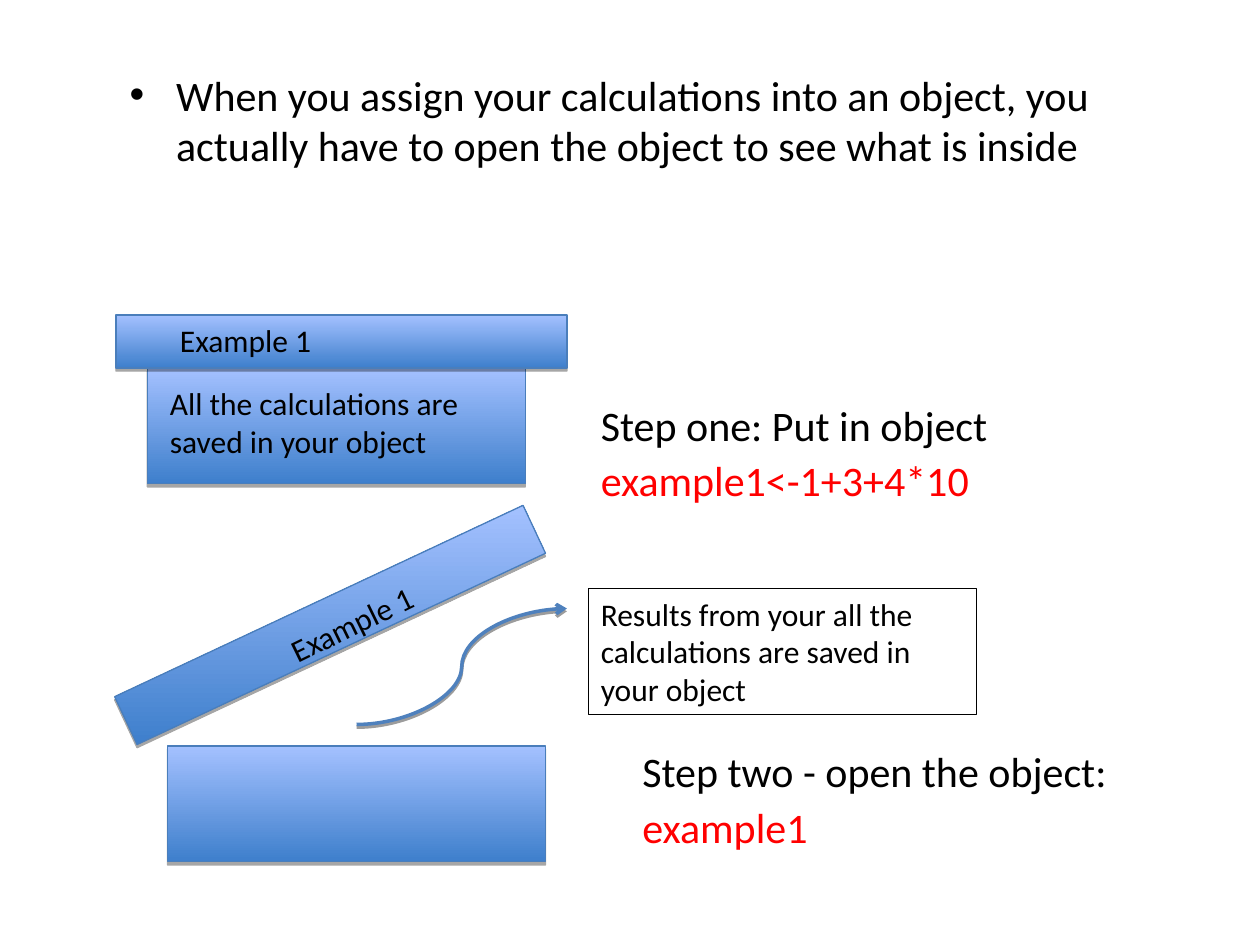
from lxml import etree
from pptx import Presentation
from pptx.dml.color import RGBColor
from pptx.enum.shapes import MSO_CONNECTOR as Connector, MSO_SHAPE as Shape
from pptx.oxml import parse_xml
from pptx.oxml.ns import nsdecls, qn
from pptx.util import Inches, Pt

BLACK, RED = "000000", "FF0000"
BOX_LINE, ARROW_BLUE = "4A7EBB", "4F81BD"
BOX_DARK, BOX_LIGHT = "3E7FCC", "A4C1FF"


def color(hex_string):
    return RGBColor.from_string(hex_string)


def add_text(place, lines, size=18, rotation=0, spacing=None):
    """Add a text box; lines are (text, colour) pairs."""
    box = slide.shapes.add_textbox(*map(Inches, place))
    box.rotation = rotation
    frame = box.text_frame
    frame.word_wrap = True
    frame.text = "\n".join(text for text, _ in lines)
    for paragraph, (_, hex_string) in zip(frame.paragraphs, lines):
        paragraph.line_spacing = spacing
        font = paragraph.runs[0].font
        font.name, font.size = "Calibri", Pt(size)
        font.color.rgb = color(hex_string)
    return box


def shadow_xml(alpha, distance):
    return parse_xml(
        f'<a:effectLst {nsdecls("a")}><a:outerShdw blurRad="0" dist="{Pt(distance)}" '
        f'dir="5400000" rotWithShape="0"><a:srgbClr val="{BLACK}">'
        f'<a:alpha val="{alpha * 1000}"/></a:srgbClr></a:outerShdw></a:effectLst>')


presentation = Presentation()
presentation.slide_width, presentation.slide_height = Inches(10), Inches(7.5)
slide = presentation.slides.add_slide(presentation.slide_layouts[6])

# Boxes and lids, each with its label: place, rotation, label, label place, label rotation
parts = [
    ((1.17, 2.92, 3, 0.92), 0, "All the calculations are saved in your object",
     (1.25, 3, 3.08, 0.7), 0),
    ((0.92, 2.5, 3.58, 0.42), 0, "Example 1", (1.33, 2.5, 3.08, 0.4), 0),
    ((1.33, 5.92, 3, 0.92), 0, None, None, 0),
    ((0.83, 4.75, 3.58, 0.42), -25.1, "Example 1", (1.25, 4.75, 3.08, 0.4), -26),
]
for place, rotation, label, label_place, label_rotation in parts:
    box = slide.shapes.add_shape(Shape.RECTANGLE, *map(Inches, place))
    box.rotation = rotation
    box.fill.gradient()
    box.fill.gradient_angle = 90 + rotation  # keeps the light side up
    for stop, hex_string in zip(box.fill.gradient_stops, (BOX_DARK, BOX_LIGHT)):
        stop.color.rgb = color(hex_string)
    box.line.color.rgb = color(BOX_LINE)
    box.line.width = Pt(0.75)
    box._element.spPr.append(shadow_xml(35, 1.8))
    if label:
        label_box = add_text(label_place, [(label, BLACK)], rotation=label_rotation)
        if rotation:
            label_box.text_frame.paragraphs[0].alignment = 2  # centred

# Results box
results = add_text((4.67, 4.67, 3.08, 1), [
    ("Results from your all the calculations are saved in your object", BLACK)])
results.line.color.rgb = color(BLACK)
results.line.width = Pt(0.75)

# Curved arrow from the open box to the results
arrow = slide.shapes.add_connector(
    Connector.CURVE, *map(Inches, (2.83, 5.75, 4.5, 4.83)))
arrow.line.color.rgb = color(ARROW_BLUE)
arrow.line.width = Pt(2)
etree.SubElement(arrow.line._get_or_add_ln(), qn("a:tailEnd"), type="arrow")
arrow._element.spPr.append(shadow_xml(38, 1.6))

# Bullet at the top
intro = add_text((0.92, 0.5, 8.17, 0.9), [
    ("When you assign your calculations into an object, you actually have to "
     "open the object to see what is inside", BLACK)], size=24)
properties = intro.text_frame.paragraphs[0]._p.get_or_add_pPr()
properties.set("marL", str(Inches(0.38)))
properties.set("indent", str(Inches(-0.37)))
etree.SubElement(properties, qn("a:buFont"), typeface="Arial")
etree.SubElement(properties, qn("a:buChar"), char="•")

# Steps with their code
add_text((4.67, 3.08, 3.58, 0.94), [
    ("Step one: Put in object", BLACK), ("example1<-1+3+4*10", RED)],
    size=24, spacing=1.1)
add_text((5, 5.83, 4.17, 0.94), [
    ("Step two - open the object:", BLACK), ("example1", RED)],
    size=24, spacing=1.1)

presentation.save("out.pptx")
